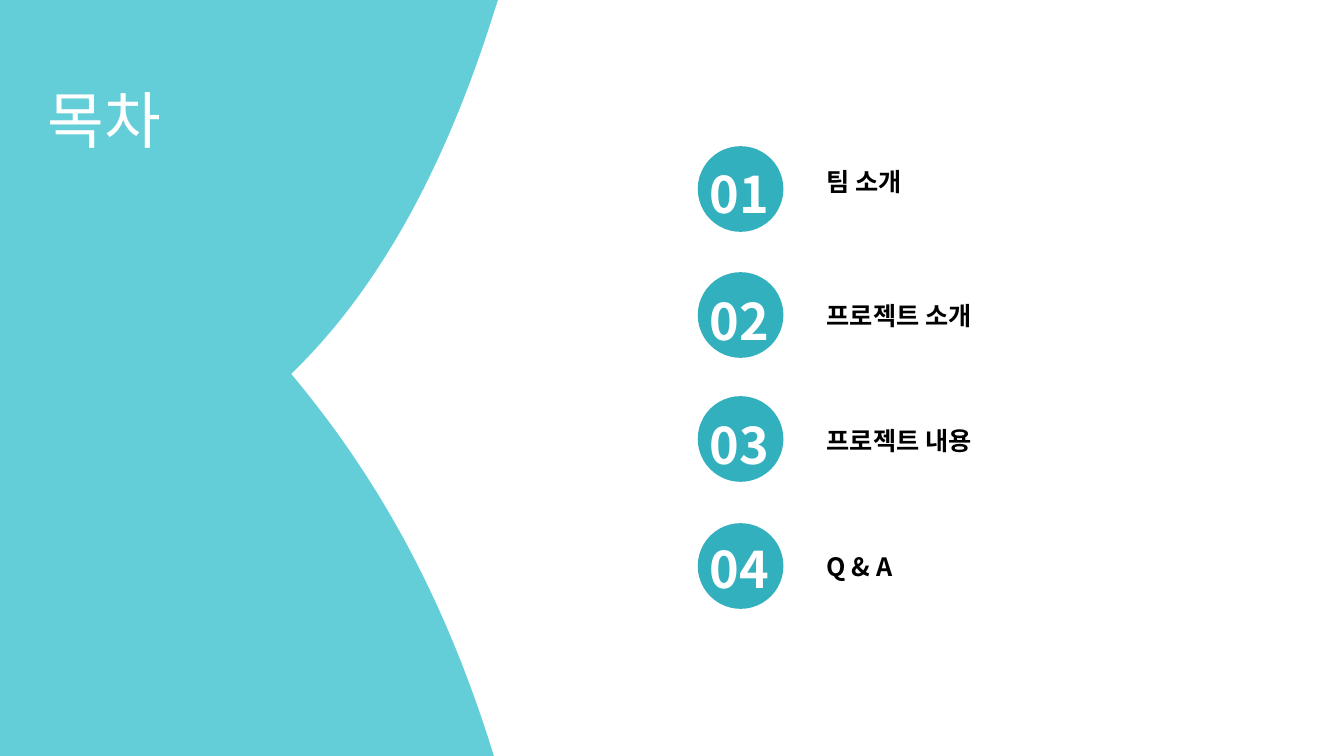
from lxml.etree import SubElement
from pptx import Presentation
from pptx.dml.color import RGBColor
from pptx.enum.shapes import MSO_SHAPE
from pptx.enum.text import MSO_ANCHOR, MSO_AUTO_SIZE, PP_ALIGN
from pptx.oxml.ns import qn
from pptx.util import Inches, Pt

FONT = "Noto Sans CJK KR"
AQUA, TEAL, WHITE, BLACK = "64CED8", "32B0BE", "FFFFFF", "000000"
CURVE_STEPS = 40


def paint(fill, color):
    fill.solid()
    fill.fore_color.rgb = RGBColor.from_string(color)


def write(frame, text, size, color, bold, align):
    """Add one run, with the font set for Latin and Korean characters alike."""
    frame.word_wrap = True
    paragraph = frame.paragraphs[0]
    paragraph.alignment = align
    run = paragraph.add_run()
    run.text = text
    run.font.size = Pt(size)
    run.font.bold = bold
    paint(run.font.fill, color)
    run.font.name = FONT
    SubElement(run.font._element, qn("a:ea"), typeface=FONT)


prs = Presentation()
prs.slide_width, prs.slide_height = Inches(13.33), Inches(7.5)
slide = prs.slides.add_slide(prs.slide_layouts[5])
paint(slide.background.fill, AQUA)

# White panel whose left edge is two curves meeting in a point
outline = [(4.94, 0), (13.33, 0), (13.33, 7.5), (4.9, 7.5), (4.84, 7.31)]
edge_curves = [
    [(4.84, 7.31), (4.39, 5.92), (3.77, 4.76), (2.89, 3.71)],
    [(2.89, 3.71), (3.74, 2.89), (4.38, 1.72), (4.85, 0.28)],
]
for curve in edge_curves:
    for step in range(1, CURVE_STEPS + 1):
        t = step / CURVE_STEPS
        weights = ((1 - t) ** 3, 3 * t * (1 - t) ** 2, 3 * t**2 * (1 - t), t**3)
        outline.append(tuple(sum(w * point[axis] for w, point in zip(weights, curve))
                             for axis in (0, 1)))
corners = [(Inches(x), Inches(y)) for x, y in outline]
builder = slide.shapes.build_freeform(*corners[0])
builder.add_line_segments(corners[1:], close=True)
panel = builder.convert_to_shape()
panel.shadow.inherit = False
paint(panel.fill, WHITE)
panel.line.fill.background()

title = slide.shapes.title
title.left, title.top = Inches(0.37), Inches(0.76)
title.width, title.height = Inches(3.82), Inches(0.84)
title.text_frame.vertical_anchor = MSO_ANCHOR.MIDDLE
title.text_frame.auto_size = MSO_AUTO_SIZE.NONE
write(title.text_frame, "목차", 44, WHITE, False, PP_ALIGN.LEFT)

# Heading, then the tops of its circle, number and label
entries = [
    ("팀 소개", 1.45, 1.57, 1.6),
    ("프로젝트 소개", 2.7, 2.83, 2.93),
    ("프로젝트 내용", 3.93, 4.06, 4.17),
    ("Q & A", 5.19, 5.29, 5.42),
]
for index, (heading, circle_top, number_top, label_top) in enumerate(entries, 1):
    entry = slide.shapes.add_group_shape().shapes
    circle = entry.add_shape(MSO_SHAPE.OVAL, Inches(6.92), Inches(circle_top),
                             Inches(0.85), Inches(0.85))
    circle.shadow.inherit = False
    paint(circle.fill, TEAL)
    circle.line.fill.background()

    number = entry.add_textbox(Inches(6.81), Inches(number_top), Inches(1.05), Inches(0.71))
    label = entry.add_textbox(Inches(8.08), Inches(label_top), Inches(3.4), Inches(0.4))
    for box in (number, label):
        box.text_frame.margin_left = box.text_frame.margin_right = Inches(0.12)
    write(number.text_frame, f"{index:02}", 36, WHITE, True, PP_ALIGN.CENTER)
    write(label.text_frame, heading, 18, BLACK, True, PP_ALIGN.LEFT)

prs.save("out.pptx")
